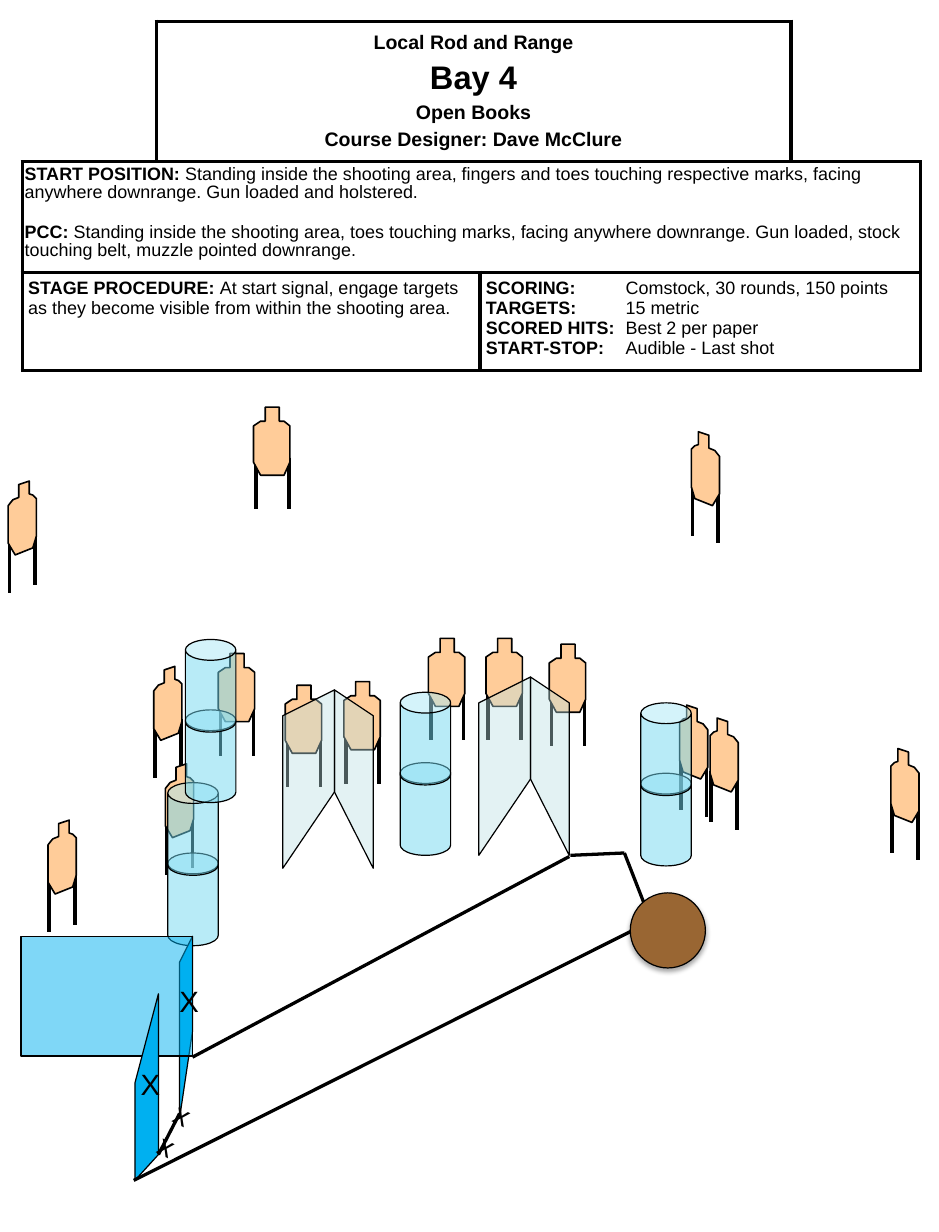
from dataclasses import dataclass

import pptx
import pptx.dml.color
import pptx.enum.shapes
import pptx.enum.text
import pptx.oxml.ns
import pptx.util
from lxml import etree
from pptx.util import Inches

FRONT = [(.1, 0), (.22, 0), (.22, .12), (.26, .12), (.31, .16), (.31, .47), (.26, .58),
         (.06, .58), (0, .47), (0, .16), (.06, .12), (.1, .12)]
TURNED = [(.09, .03), (.18, 0), (.18, .11), (.21, .12), (.24, .15), (.24, .47), (.21, .57),
          (.06, .63), (0, .53), (0, .21), (.04, .16), (.09, .14)]
TARGET_KINDS = {
    "front": (FRONT, [(.02, .43), (.3, .43)]),
    "left": (TURNED, [(.01, .51), (.23, .45)]),
    "right": ([(.24 - x, y) for x, y in TURNED], [(.23, .51), (.01, .45)]),
}
TARGETS = {
    "front": [(3.65, 5.44), (4.68, 5.49), (4.14, 5.44), (2.43, 5.84), (2.93, 5.81),
              (1.86, 5.57), (2.16, 3.47)],
    "left": [(1.31, 5.68), (.41, 6.99), (1.41, 6.51), (.07, 4.1)],
    "right": [(5.79, 6.01), (6.05, 6.12), (7.59, 6.38), (5.89, 3.68)],
}
BARRELS = [(1.43, 6.67), (5.46, 5.99), (3.41, 5.9), (1.58, 5.45)]
SCREENS = [(4.52, 5.77), (2.85, 5.88)]
FAULT_LINES = [(1.35, 9.84, 1.53, 9.49), (1.64, 9.01, 4.85, 7.3), (5.32, 7.27, 4.86, 7.29),
               (5.55, 7.86, 5.32, 7.27), (1.14, 10.06, 5.55, 7.85)]
HEADING = [("Local Rod and Range", 12), ("Bay 4", 20), ("Open Books", 12),
           ("Course Designer: Dave McClure", 12)]
START = [
    ("START POSITION:", " Standing inside the shooting area, fingers and toes touching respective "
     "marks, facing anywhere downrange. Gun loaded and holstered."),
    ("PCC: ", "Standing inside the shooting area, toes touching marks, facing anywhere downrange. "
     "Gun loaded, stock touching belt, muzzle pointed downrange."),
]
PROCEDURE = [("STAGE PROCEDURE: ", "At start signal, engage targets as they become visible from "
              "within the shooting area.")]
SCORING = [("SCORING:", "\tComstock, 30 rounds, 150 points"), ("TARGETS:", "\t15 metric"),
           ("SCORED HITS:", "\tBest 2 per paper"), ("START-STOP:", "\tAudible - Last shot")]


@dataclass(frozen=True)
class Theme:
    """Colours, font and sizes of the stage diagram."""
    font: str = "Arial"
    ink: str = "000000"
    paper: str = "FFFFFF"
    cardboard: str = "FFCC99"
    barrel: str = "73D9F1"
    screen: str = "BBE0E3"
    wall: str = "00B0F0"
    table: str = "996633"
    body_size: float = 11
    mark_size: float = 18
    thin: float = .75
    outline: float = 1
    fault: float = 2
    heavy: float = 2.25


def rgb(value):
    """Return an RGB colour from its hex value."""
    return pptx.dml.color.RGBColor.from_string(value)


def add(parent, tag, **attrs):
    """Append a namespaced element to a parent."""
    return etree.SubElement(parent, pptx.oxml.ns.qn(tag), attrs)


class Stage:
    """Draws the elements of a stage diagram on one slide."""

    def __init__(self, s, theme):
        """Keep the slide and its theme."""
        self.s, self.t = s, theme

    def paint(self, sp, color, opacity=100, width=None):
        """Give a shape its fill and outline."""
        sp.shadow.inherit = False
        sp.fill.solid()
        sp.fill.fore_color.rgb = rgb(color)
        sp.line.color.rgb = rgb(self.t.ink)
        sp.line.width = pptx.util.Pt(width or self.t.thin)
        if opacity < 100:
            clr = sp._element.spPr.find(pptx.oxml.ns.qn("a:solidFill"))[0]
            add(clr, "a:alpha", val=str(opacity * 1000))
        return sp

    def line(self, x1, y1, x2, y2, width):
        """Draw a straight line."""
        kind = pptx.enum.shapes.MSO_CONNECTOR.STRAIGHT
        c = self.s.shapes.add_connector(kind, *map(Inches, (x1, y1, x2, y2)))
        c.line.color.rgb = rgb(self.t.ink)
        c.line.width = pptx.util.Pt(width)
        add(c._element.spPr, "a:effectLst")

    def polygon(self, points, color, opacity=100, width=None, at=(0, 0)):
        """Draw a closed outline, offset by a point."""
        pts = [(Inches(at[0] + x), Inches(at[1] + y)) for x, y in points]
        fb = self.s.shapes.build_freeform(*pts[0])
        fb.add_line_segments(pts[1:], close=True)
        self.paint(fb.convert_to_shape(), color, opacity, width)

    def preset(self, kind, x, y, w, h, color, opacity=100):
        """Draw a preset shape."""
        sp = self.s.shapes.add_shape(kind, *map(Inches, (x, y, w, h)))
        return self.paint(sp, color, opacity)

    def target(self, kind, x, y):
        """Draw a target on its two posts."""
        outline, posts = TARGET_KINDS[kind]
        for px, py in posts:
            self.line(x + px, y + py, x + px, y + py + .44, self.t.heavy)
        self.polygon(outline, self.t.cardboard, width=self.t.outline, at=(x, y))

    def barrels(self, x, y):
        """Draw two stacked barrels."""
        for top in (y + .6, y):
            sp = self.preset(pptx.enum.shapes.MSO_SHAPE.CAN, x, top, .43, .79, self.t.barrel, 50)
            sp.adjustments[0] = .413

    def screen(self, x, y):
        """Draw the two wings of a folded screen."""
        for reach in (.33, -.44):
            wing = [(0, .87), (reach, 1.52), (reach, .22), (0, 0)]
            self.polygon(wing, self.t.screen, 40, at=(x, y))

    def round_table(self, x, y, d):
        """Draw a round table with a soft shadow."""
        sp = self.preset(pptx.enum.shapes.MSO_SHAPE.OVAL, x, y, d, d, self.t.table)
        effects = sp._element.spPr.find(pptx.oxml.ns.qn("a:effectLst"))
        shadow = add(effects, "a:outerShdw", blurRad=str(pptx.util.Pt(3.1)),
                     dist=str(pptx.util.Pt(1.8)), dir="5400000", rotWithShape="0")
        add(add(shadow, "a:srgbClr", val=self.t.ink), "a:alpha", val="35000")

    def run(self, p, text, size, bold=False):
        """Add a run of text."""
        r = p.add_run()
        r.text = text
        r.font.name, r.font.size, r.font.bold = self.t.font, pptx.util.Pt(size), bold
        r.font.color.rgb = rgb(self.t.ink)

    def mark(self, text, x, y, w, h, rotation=0):
        """Write a floor or wall mark."""
        sp = self.s.shapes.add_textbox(*map(Inches, (x, y, w, h)))
        sp.rotation = rotation
        sp.text_frame.word_wrap = True
        self.run(sp.text_frame.paragraphs[0], text, self.t.mark_size)

    def paragraphs(self, tf, count):
        """Yield the given number of paragraphs."""
        for i in range(count):
            yield tf.add_paragraph() if i else tf.paragraphs[0]

    def heading(self, cell, lines):
        """Write centred bold lines in a cell."""
        cell.vertical_anchor = pptx.enum.text.MSO_ANCHOR.MIDDLE
        for i, (p, (text, size)) in enumerate(zip(self.paragraphs(cell.text_frame, len(lines)), lines)):
            p.alignment = pptx.enum.text.PP_ALIGN.CENTER
            if i:
                p.space_before = pptx.util.Pt(3.5)
            self.run(p, text, size, True)

    def labelled(self, cell, items, gap=0, spacing=None, tab=None):
        """Write paragraphs that open with a bold label."""
        for i, (p, (label, text)) in enumerate(zip(self.paragraphs(cell.text_frame, len(items)), items)):
            if tab:
                tabs = add(p._p.get_or_add_pPr(), "a:tabLst")
                add(tabs, "a:tab", pos=str(Inches(tab)), algn="l")
            if spacing:
                p.line_spacing = spacing
            if i and gap:
                p.space_before = pptx.util.Pt(gap)
            self.run(p, label, self.t.body_size, True)
            self.run(p, text, self.t.body_size)

    def frame_cell(self, cell, sides, inset):
        """Set the fill, borders and margins of a cell."""
        cell.fill.solid()
        cell.fill.fore_color.rgb = rgb(self.t.paper)
        cell.margin_left = cell.margin_right = Inches(inset[0])
        cell.margin_top = cell.margin_bottom = Inches(inset[1])
        tcPr = cell._tc.get_or_add_tcPr()
        for i, side in enumerate("LRTB"):
            ln = add(tcPr, "a:ln" + side, w=str(pptx.util.Pt(self.t.heavy)))
            if side in sides:
                add(add(ln, "a:solidFill"), "a:srgbClr", val=self.t.ink)
            else:
                add(ln, "a:noFill")
            tcPr.insert(i, ln)

    def briefing(self, x, y, widths, heights):
        """Build the table of stage details."""
        size = map(Inches, (x, y, sum(widths), sum(heights)))
        tbl = self.s.shapes.add_table(len(heights), len(widths), *size).table
        tbl.first_row = tbl.horz_banding = False
        for col, width in zip(tbl.columns, widths):
            col.width = Inches(width)
        for i, (row, height) in enumerate(zip(tbl.rows, heights)):
            row.height = Inches(height)
            for j, cell in enumerate(row.cells):
                sides = {(0, 0): "RB", (0, 3): "LB"}.get((i, j), "LRTB")
                self.frame_cell(cell, sides, (.02, .04) if i == 1 else (.05, .05))
        for r, first, last in [(0, 1, 2), (1, 0, 3), (2, 0, 1), (2, 2, 3)]:
            tbl.cell(r, first).merge(tbl.cell(r, last))
        self.heading(tbl.cell(0, 1), HEADING)
        self.labelled(tbl.cell(1, 0), START, gap=13, spacing=.9)
        self.labelled(tbl.cell(2, 0), PROCEDURE)
        self.labelled(tbl.cell(2, 2), SCORING, tab=1.19)


def main():
    """Build the stage diagram and save it."""
    prs = pptx.Presentation()
    prs.slide_width, prs.slide_height = Inches(8), Inches(10.5)
    theme = Theme()
    stage = Stage(prs.slides.add_slide(prs.slide_layouts[6]), theme)
    for kind, places in TARGETS.items():
        for place in places:
            stage.target(kind, *place)
    for place in BARRELS:
        stage.barrels(*place)
    for place in SCREENS:
        stage.screen(*place)
    stage.polygon([(1.64, 8.79), (1.53, 9.53), (1.53, 8.2), (1.64, 7.98)], theme.wall)
    stage.polygon([(1.64, 9), (.18, 9), (.18, 7.98), (1.64, 7.98)], theme.wall, 50)
    stage.polygon([(1.15, 9.23), (1.35, 8.47), (1.35, 9.84), (1.15, 10.06)], theme.wall)
    for ends in FAULT_LINES:
        stage.line(*ends, theme.fault)
    stage.round_table(5.37, 7.61, .64)
    stage.mark("X", 1.1, 9.04, .29, .4)
    stage.mark("X", 1.43, 8.33, .29, .4)
    stage.mark("xx", 1.33, 9.27, .28, .71, 26.4)
    stage.briefing(.19, .18, [1.14, 2.76, 2.65, 1.1], [1.2, .94, .84])
    prs.save("out.pptx")


if __name__ == "__main__":
    main()
